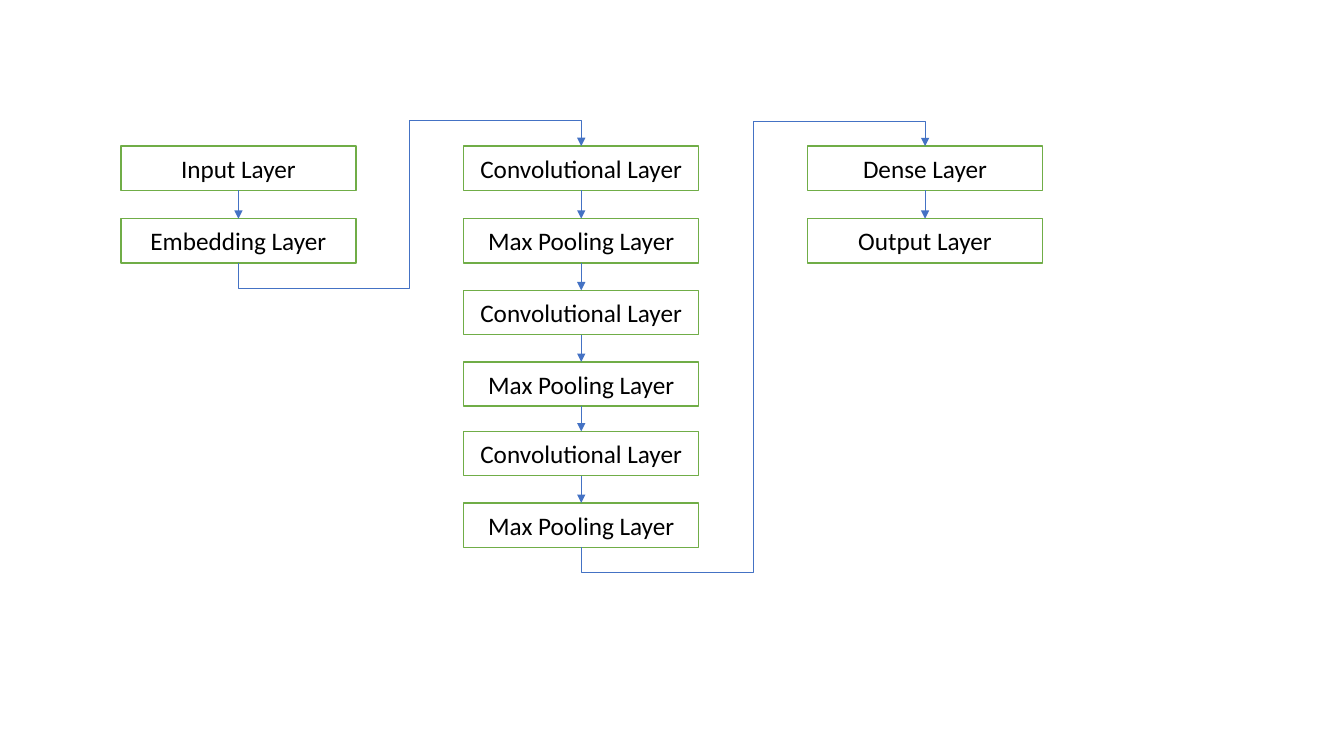
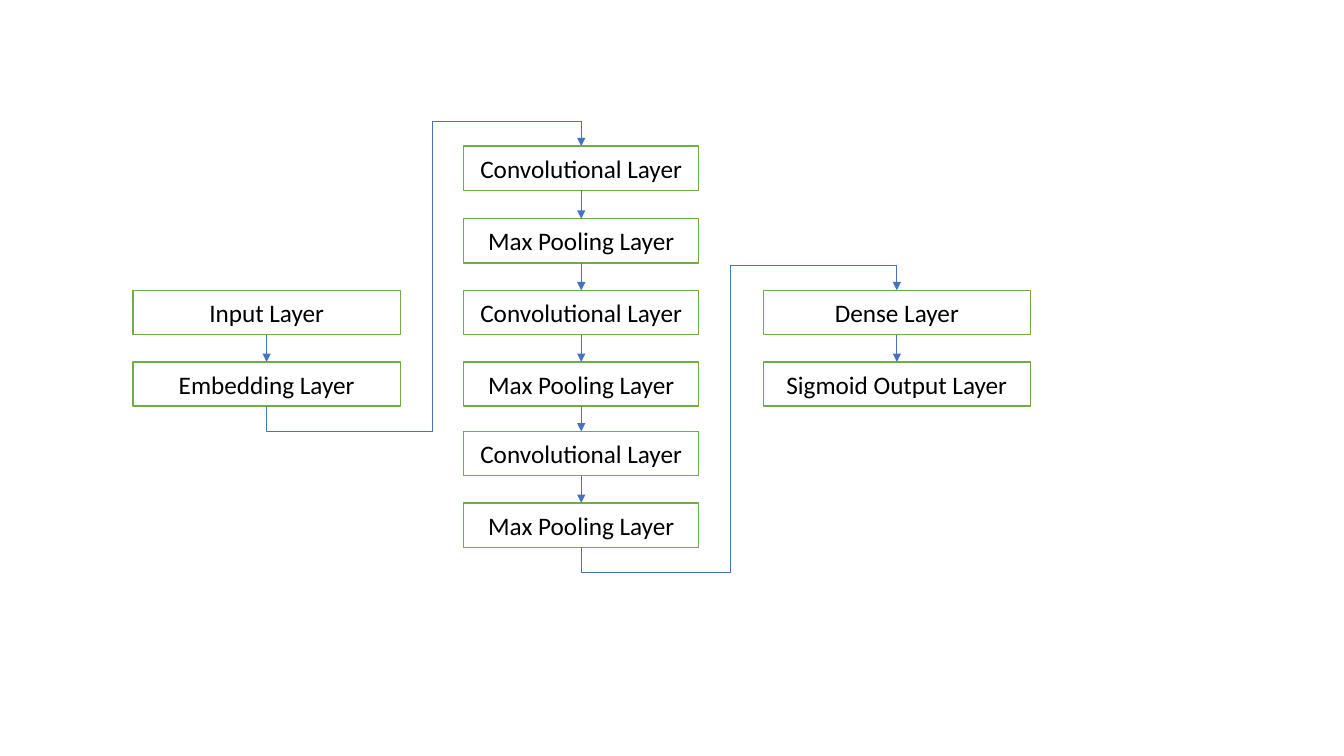
from dataclasses import dataclass
from itertools import pairwise

from lxml.etree import SubElement
from pptx import Presentation
from pptx.dml.color import RGBColor
from pptx.enum.shapes import MSO_CONNECTOR, MSO_SHAPE
from pptx.enum.text import MSO_ANCHOR, PP_ALIGN
from pptx.oxml.ns import qn
from pptx.util import Inches, Pt

# Content: each network is a list of columns (left, width, first row, layers)
CONVOLUTION = (4.6, 2.33, 0, ["Convolutional Layer", "Max Pooling Layer"] * 3)
NETWORKS = [
    [
        (1.2, 2.33, 0, ["Input Layer", "Embedding Layer"]),
        CONVOLUTION,
        (8.01, 2.33, 0, ["Dense Layer", "Output Layer"]),
    ],
    [
        (1.32, 2.65, 2, ["Input Layer", "Embedding Layer"]),
        CONVOLUTION,
        (7.57, 2.65, 2, ["Dense Layer", "Sigmoid Output Layer"]),
    ],
]
ROW_TOPS = (1.45, 2.17, 2.88, 3.59, 4.28, 4.99)
LAYER_HEIGHT = 0.44
DETOUR = Inches(0.25)  # how far a bent arrow runs past a layer before turning
BOTTOM_SITE, TOP_SITE = 2, 0


@dataclass(frozen=True)
class Theme:
    font: str = "Calibri"
    size: Pt = Pt(18)
    text: RGBColor = RGBColor(0x00, 0x00, 0x00)
    fill: RGBColor = RGBColor(0xFF, 0xFF, 0xFF)
    border: RGBColor = RGBColor(0x70, 0xAD, 0x47)
    border_width: Pt = Pt(1)
    arrow: RGBColor = RGBColor(0x44, 0x72, 0xC4)
    arrow_width: Pt = Pt(0.5)


THEME = Theme()


def add_layer(slide, label, left, top, width):
    layer = slide.shapes.add_shape(
        MSO_SHAPE.RECTANGLE, Inches(left), Inches(top), Inches(width), Inches(LAYER_HEIGHT))
    layer.shadow.inherit = False
    layer.fill.solid()
    layer.fill.fore_color.rgb = THEME.fill
    layer.line.color.rgb = THEME.border
    layer.line.width = THEME.border_width
    frame = layer.text_frame
    frame.word_wrap = True
    frame.vertical_anchor = MSO_ANCHOR.MIDDLE
    paragraph = frame.paragraphs[0]
    paragraph.alignment = PP_ALIGN.CENTER
    run = paragraph.add_run()
    run.text = label
    run.font.name = THEME.font
    run.font.size = THEME.size
    run.font.color.rgb = THEME.text
    return layer


def add_arrow(slide, source, target, kind=MSO_CONNECTOR.STRAIGHT):
    arrow = slide.shapes.add_connector(kind, 0, 0, 0, 0)
    arrow.begin_connect(source, BOTTOM_SITE)
    arrow.end_connect(target, TOP_SITE)
    arrow.line.color.rgb = THEME.arrow
    arrow.line.width = THEME.arrow_width
    SubElement(arrow.line._get_or_add_ln(), qn("a:tailEnd"), type="triangle")
    SubElement(arrow.element.spPr, qn("a:effectLst"))
    return arrow


def add_bent_arrow(slide, source, target):
    """Lead from the foot of one column, up between the two, to the head of the next."""
    arrow = add_arrow(slide, source, target, MSO_CONNECTOR.ELBOW)
    start_x = source.left + source.width // 2
    end_x = target.left + target.width // 2
    start_y, end_y = source.top + source.height, target.top
    run, rise = end_x - start_x, start_y - end_y
    channel_x = (source.left + source.width + target.left) / 2

    # The frame is described before its quarter turn, so run and rise swap
    arrow.left = (start_x + end_x - rise) // 2
    arrow.top = (start_y + end_y - run) // 2
    arrow.width, arrow.height = rise, run
    xfrm = arrow.element.spPr.find(qn("a:xfrm"))
    for name, value in (("rot", "5400000"), ("flipH", "1"), ("flipV", "1")):
        xfrm.set(name, value)

    # Turning points as shares of the frame
    geometry = arrow.element.spPr.find(qn("a:prstGeom"))
    geometry.set("prst", "bentConnector5")
    guides = geometry.find(qn("a:avLst"))
    turns = (-DETOUR / rise, (channel_x - start_x) / run, 1 + DETOUR / rise)
    for number, share in enumerate(turns, 1):
        SubElement(guides, qn("a:gd"), name=f"adj{number}", fmla=f"val {round(share * 100000)}")


def build_network(slide, network):
    columns = [
        [add_layer(slide, label, left, top, width)
         for label, top in zip(labels, ROW_TOPS[first_row:])]
        for left, width, first_row, labels in network
    ]
    for column in columns:
        for upper, lower in pairwise(column):
            add_arrow(slide, upper, lower)
    for column, following in pairwise(columns):
        add_bent_arrow(slide, column[-1], following[0])


# Build the slides
deck = Presentation()
deck.slide_width, deck.slide_height = Inches(13.33), Inches(7.5)
blank = deck.slide_layouts[6]
for network in NETWORKS:
    build_network(deck.slides.add_slide(blank), network)
deck.save("out.pptx")
